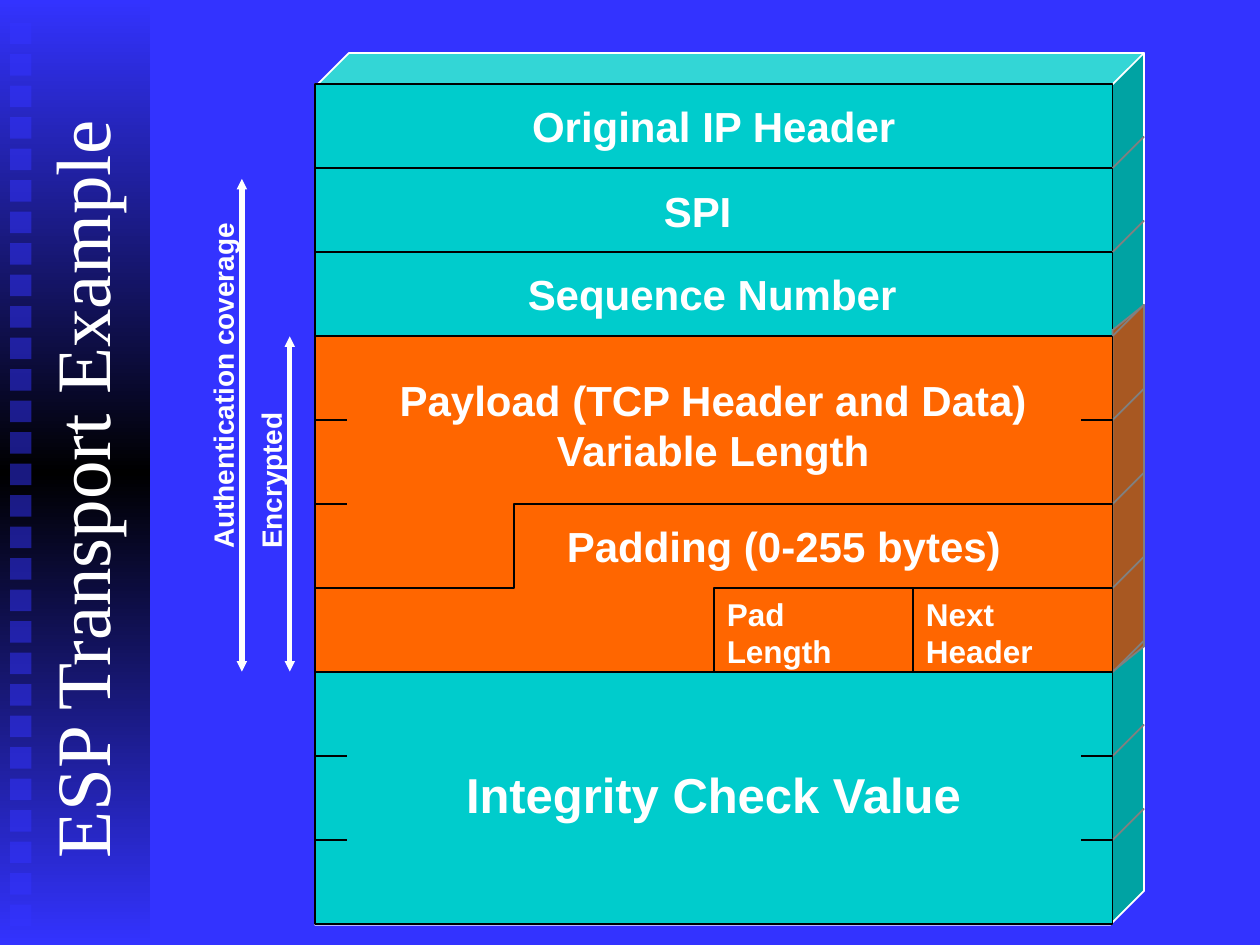
from dataclasses import dataclass
from copy import deepcopy
from typing import Optional

from lxml import etree
from pptx import Presentation
from pptx.dml import color
from pptx.enum import shapes, text
from pptx.oxml import ns
from pptx.util import Inches, Pt

BLUE, TEAL, ORANGE = "3333FF", "00CCCC", "FF6600"
WHITE, BLACK, GRAY = "FFFFFF", "000000", "808080"
LEFT, RIGHT, ROW = 2.5, 8.83, 2 / 3
WIDE, STEP = RIGHT - LEFT, 0.25


@dataclass
class Box:
    left: float
    row: int
    width: float
    rows: int
    fill: Optional[str] = None
    line: str = BLACK


@dataclass
class Label:
    words: list[str]
    left: float
    top: float
    width: float
    height: float
    size: int = 24
    center: bool = False
    wrap: bool = False
    turn: int = 0


def row_top(row: int) -> float:
    return ROW * (row + 1)


def rgb(code: str) -> color.RGBColor:
    return color.RGBColor.from_string(code)


def add_shape(slide, kind, left, top, width, height, fill=None, line=None):
    shape = slide.shapes.add_shape(
        kind, Inches(left), Inches(top), Inches(width), Inches(height))
    paint(shape, fill, line)
    return shape


def paint(shape, fill: Optional[str], line: Optional[str]) -> None:
    shape.shadow.inherit = False
    if fill:
        shape.fill.solid()
        shape.fill.fore_color.rgb = rgb(fill)
    else:
        shape.fill.background()
    if line:
        shape.line.color.rgb = rgb(line)
        shape.line.width = Pt(1)
    else:
        shape.line.fill.background()


def add_box(slide, box: Box):
    return add_shape(slide, shapes.MSO_SHAPE.RECTANGLE, box.left, row_top(box.row),
                     box.width, box.rows * ROW, box.fill, box.line)


def add_line(slide, start, end, code: str, width: int = 1, arrows: bool = False):
    line = slide.shapes.add_connector(
        shapes.MSO_CONNECTOR.STRAIGHT, *map(Inches, (*start, *end)))
    line.line.color.rgb = rgb(code)
    line.line.width = Pt(width)
    if arrows:
        for tag in ("a:headEnd", "a:tailEnd"):
            etree.SubElement(line.line._get_or_add_ln(), ns.qn(tag),
                             type="triangle", w="sm", len="sm")
    etree.SubElement(line._element.spPr, ns.qn("a:effectLst"))
    return line


def add_path(slide, points, closed: bool, fill: Optional[str], line: str) -> None:
    spots = [(Inches(x), Inches(y)) for x, y in points]
    path = slide.shapes.build_freeform(*spots[0])
    path.add_line_segments(spots[1:], close=closed)
    paint(path.convert_to_shape(), fill, line)


def add_label(slide, label: Label) -> None:
    box = slide.shapes.add_textbox(Inches(label.left), Inches(label.top),
                                   Inches(label.width), Inches(label.height))
    box.rotation = label.turn
    frame = box.text_frame
    frame.word_wrap = label.wrap
    frame.auto_size = text.MSO_AUTO_SIZE.SHAPE_TO_FIT_TEXT
    frame.text = "\n".join(label.words)
    for para in frame.paragraphs:
        para.alignment = text.PP_ALIGN.CENTER if label.center else text.PP_ALIGN.LEFT
        set_font(para.font, "Arial", label.size, True)


def set_font(font, name: str, size: int, bold: bool) -> None:
    font.name, font.size, font.bold = name, Pt(size), bold
    font.color.rgb = rgb(WHITE)


def add_band(slide) -> None:
    band = add_shape(slide, shapes.MSO_SHAPE.RECTANGLE, 0, 0, 1.19, 7.5)
    band.fill.gradient()
    band.fill.gradient_angle = 90
    stops = band._element.spPr.find(ns.qn("a:gradFill")).find(ns.qn("a:gsLst"))
    stops.append(deepcopy(stops[0]))
    for stop, spot, code in zip(band.fill.gradient_stops, (0, 0.5, 1), (BLUE, BLACK, BLUE)):
        stop.position = spot
        stop.color.rgb = rgb(code)
    for i in range(29):
        dot = add_shape(slide, shapes.MSO_SHAPE.RECTANGLE,
                        0.08, 0.18 + i * STEP, 0.17, 0.17, BLUE)
        tint = dot._element.spPr.find(ns.qn("a:solidFill"))[0]
        etree.SubElement(tint, ns.qn("a:alpha"), val="50000")


def set_title(slide) -> None:
    title = slide.shapes.title
    title.left, title.top = Inches(-2.83), Inches(2.83)
    title.width, title.height = Inches(6.92), Inches(1.25)
    title.rotation = 270
    frame = title.text_frame
    frame.text = "ESP Transport Example"
    frame.vertical_anchor = text.MSO_ANCHOR.MIDDLE
    frame.auto_size = text.MSO_AUTO_SIZE.NONE
    para = frame.paragraphs[0]
    para.alignment = text.PP_ALIGN.LEFT
    set_font(para.font, "Times New Roman", 44, False)
    slide.shapes._spTree.append(title._element)


def add_stack(slide) -> None:
    cube = add_shape(slide, shapes.MSO_SHAPE.CUBE, LEFT, 0.42, 6.58, 6.92, TEAL, WHITE)
    cube.adjustments[0] = 0.041
    for box in (Box(LEFT, 0, WIDE, 10, TEAL, WHITE), Box(LEFT, 1, WIDE, 1, TEAL),
                Box(LEFT, 2, WIDE, 1), Box(LEFT, 0, WIDE, 1, TEAL),
                Box(LEFT, 7, WIDE, 3, TEAL)):
        add_box(slide, box)
    back = RIGHT + STEP
    add_path(slide, [(RIGHT, 5.33), (back, 5.13), (back, 2.42), (RIGHT, 2.62)],
             True, "A85822", GRAY)
    load = add_box(slide, Box(LEFT, 3, WIDE, 4, ORANGE))
    for row in range(1, 10):
        y = row_top(row)
        edge = add_line(slide, (RIGHT, y), (back, y - STEP), GRAY)
        if row == 5:
            edge.begin_connect(load, 3)
    for row in (4, 5, 8, 9):
        y = row_top(row)
        tick = add_line(slide, (LEFT, y), (LEFT + STEP, y), BLACK)
        if row == 5:
            tick.begin_connect(load, 1)
        else:
            add_line(slide, (RIGHT - STEP, y), (RIGHT, y), BLACK)
    cell = WIDE / 4
    add_path(slide, [(LEFT, row_top(6)), (LEFT + cell, row_top(6)),
                     (LEFT + cell, row_top(5)), (RIGHT, row_top(5))], False, None, BLACK)
    for col in (2, 3):
        add_box(slide, Box(LEFT + col * cell, 6, cell, 1))


LABELS = [
    Label(["Original IP Header"], LEFT, 0.75, WIDE, 0.5, center=True, wrap=True),
    Label(["SPI"], 5.17, 1.42, 0.8, 0.5),
    Label(["Sequence Number"], 4.09, 2.08, 3.25, 0.5),
    Label(["Payload (TCP Header and Data)", "Variable Length"],
          3.02, 2.92, 5.28, 0.9, center=True),
    Label(["Padding (0-255 bytes)"], 4.4, 4.08, 3.75, 0.5),
    Label(["Pad", "Length"], 5.67, 4.67, 1.17, 0.7, 18, wrap=True),
    Label(["Next", "Header"], 7.25, 4.67, 1.15, 0.7, 18),
    Label(["Integrity Check Value"], 3.6, 6.02, 4.25, 0.57, 28),
    Label(["Authentication coverage"], 0.33, 2.83, 2.88, 0.37, 16, turn=270),
    Label(["Encrypted"], 1.46, 3.58, 1.38, 0.37, 16, turn=270),
]


def main() -> None:
    deck = Presentation()
    deck.slide_width, deck.slide_height = Inches(10), Inches(7.5)
    slide = deck.slides.add_slide(deck.slide_layouts[5])
    slide.background.fill.solid()
    slide.background.fill.fore_color.rgb = rgb(BLUE)
    add_band(slide)
    add_stack(slide)
    for x, top in ((1.92, 1.42), (2.3, 2.67)):
        add_line(slide, (x, top), (x, 5.33), WHITE, 3, True)
    for label in LABELS:
        add_label(slide, label)
    set_title(slide)
    deck.save("out.pptx")


if __name__ == "__main__":
    main()
